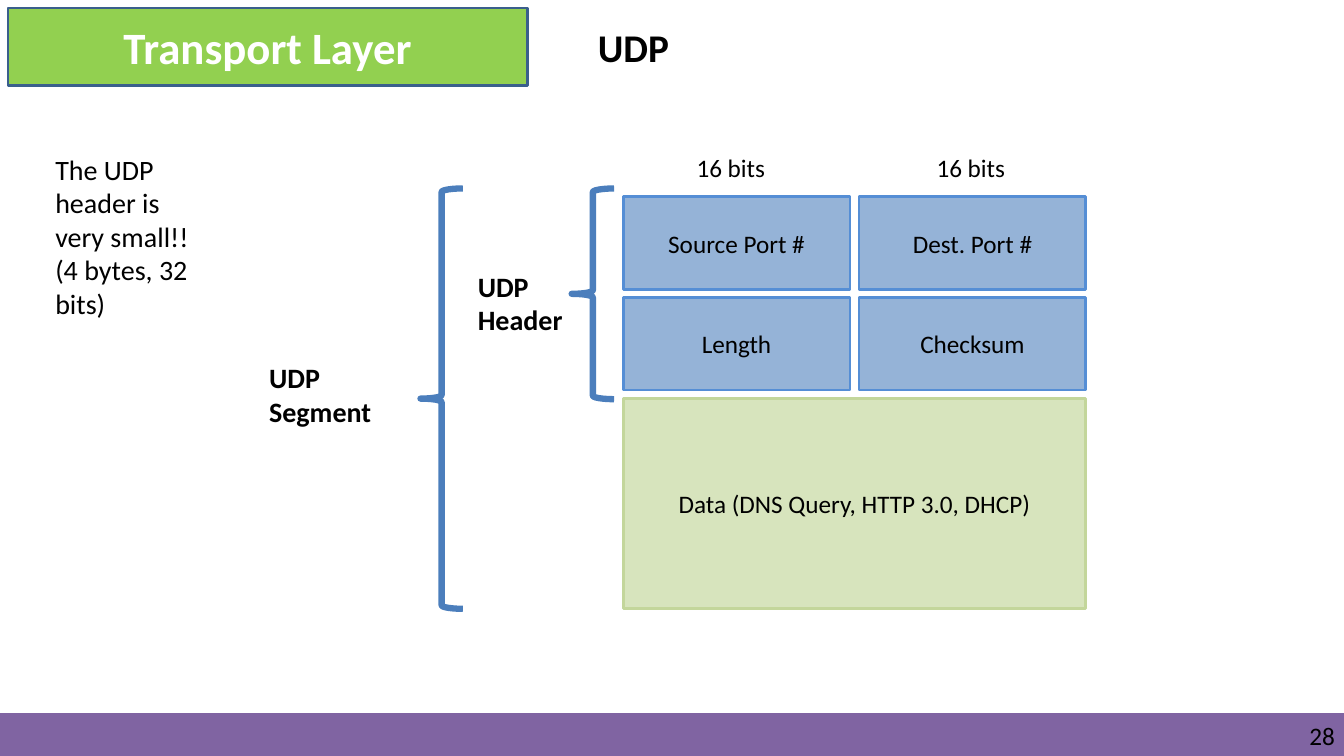
"""Build the UDP segment layout slide."""
from pptx import Presentation
from pptx.dml.color import RGBColor
from pptx.enum.shapes import MSO_SHAPE
from pptx.enum.text import MSO_ANCHOR, MSO_AUTO_SIZE, PP_ALIGN
from pptx.util import Inches, Pt

RECT, BRACE = MSO_SHAPE.RECTANGLE, MSO_SHAPE.LEFT_BRACE
TOP, MIDDLE = MSO_ANCHOR.TOP, MSO_ANCHOR.MIDDLE
LEFT, CENTER, RIGHT = PP_ALIGN.LEFT, PP_ALIGN.CENTER, PP_ALIGN.RIGHT
NO_AUTOFIT = MSO_AUTO_SIZE.NONE

FONT = "Calibri"
COLORS = {
    "black": "000000", "white": "FFFFFF", "purple": "8064A2",
    "green": "92D050", "navy": "3A5F8C",
    "field": "95B3D7", "field_line": "558ED5",
    "data": "D7E4BD", "data_line": "C3D69B", "brace": "4B7EBC",
}

TITLE = "UDP"
BANNER = "Transport Layer"
PAGE = "28"
FIELDS = [["Source Port #", "Dest. Port #"], ["Length", "Checksum"]]
DATA = "Data (DNS Query, HTTP 3.0, DHCP)"
LABELS = [
    ("16 bits", (6.81, 1.46, 0.95, 0.4), 18, False, False),
    ("16 bits", (9.19, 1.46, 0.95, 0.4), 18, False, False),
    ("UDP Header", (4.64, 2.62, 1.15, 0.77), 20, True, True),
    ("UDP Segment", (2.57, 3.53, 1.59, 0.77), 20, True, True),
    ("The UDP header is very small!! (4 bytes, 32 bits)",
     (0.45, 1.46, 1.67, 1.78), 20, False, True),
]
BRACES = [(5.67, 1.87, 0.42, 2.09), (4.17, 1.87, 0.42, 4.17)]

GRID_LEFT, GRID_TOP = 6.18, 1.95
FIELD_W, FIELD_H = 2.25, 0.92
STEP_X, STEP_Y = 2.34, 1.0


def rgb(name):
    return RGBColor.from_string(COLORS[name])


def write(s, text, size, bold=False, color="black", align=LEFT,
          anchor=TOP, wrap=True):
    tf = s.text_frame
    tf.text = text
    tf.auto_size = NO_AUTOFIT
    tf.word_wrap = wrap
    tf.vertical_anchor = anchor
    p = tf.paragraphs[0]
    p.alignment = align
    font = p.runs[0].font
    font.name, font.size, font.bold = FONT, Pt(size), bold
    font.color.rgb = rgb(color)


def add_shape(slide, kind, box, line, width, fill=None):
    s = slide.shapes.add_shape(kind, *map(Inches, box))
    s.shadow.inherit = False
    if fill:
        s.fill.solid()
        s.fill.fore_color.rgb = rgb(fill)
    else:
        s.fill.background()
    s.line.color.rgb = rgb(line)
    s.line.width = Pt(width)
    return s


def add_box(slide, box, text, fill, line, size=18, bold=False, color="black"):
    s = add_shape(slide, RECT, box, line, 2, fill)
    write(s, text, size, bold, color, CENTER, MIDDLE)


def add_label(slide, box, text, size, **style):
    s = slide.shapes.add_textbox(*map(Inches, box))
    write(s, text, size, **style)
    return s


def main():
    prs = Presentation()
    prs.slide_width, prs.slide_height = Inches(13.33), Inches(7.5)
    slide = prs.slides.add_slide(prs.slide_layouts[5])

    title = slide.shapes.title
    title.left, title.top = Inches(5.83), Inches(0.18)
    title.width, title.height = Inches(1.03), Inches(0.57)
    write(title, TITLE, 28, bold=True, wrap=False)

    add_shape(slide, RECT, (0, 7.08, 13.33, 0.42), "purple", 1, "purple")
    page = add_label(slide, (10.17, 7.15, 3.07, 0.3), PAGE, 18, align=RIGHT)
    tf = page.text_frame
    tf.margin_left = tf.margin_right = tf.margin_top = tf.margin_bottom = 0

    add_box(slide, (0.08, 0.08, 5.15, 0.77), BANNER, "green", "navy",
            32, True, "white")

    for row, names in enumerate(FIELDS):
        for col, name in enumerate(names):
            box = (GRID_LEFT + col * STEP_X, GRID_TOP + row * STEP_Y,
                   FIELD_W, FIELD_H)
            add_box(slide, box, name, "field", "field_line")
    data_top = GRID_TOP + len(FIELDS) * STEP_Y
    add_box(slide, (GRID_LEFT, data_top, STEP_X + FIELD_W, 2.09),
            DATA, "data", "data_line")

    for box in BRACES:
        add_shape(slide, BRACE, box, "brace", 4.5)
    for text, box, size, bold, wrap in LABELS:
        add_label(slide, box, text, size, bold=bold, wrap=wrap)

    prs.save("out.pptx")


if __name__ == "__main__":
    main()
